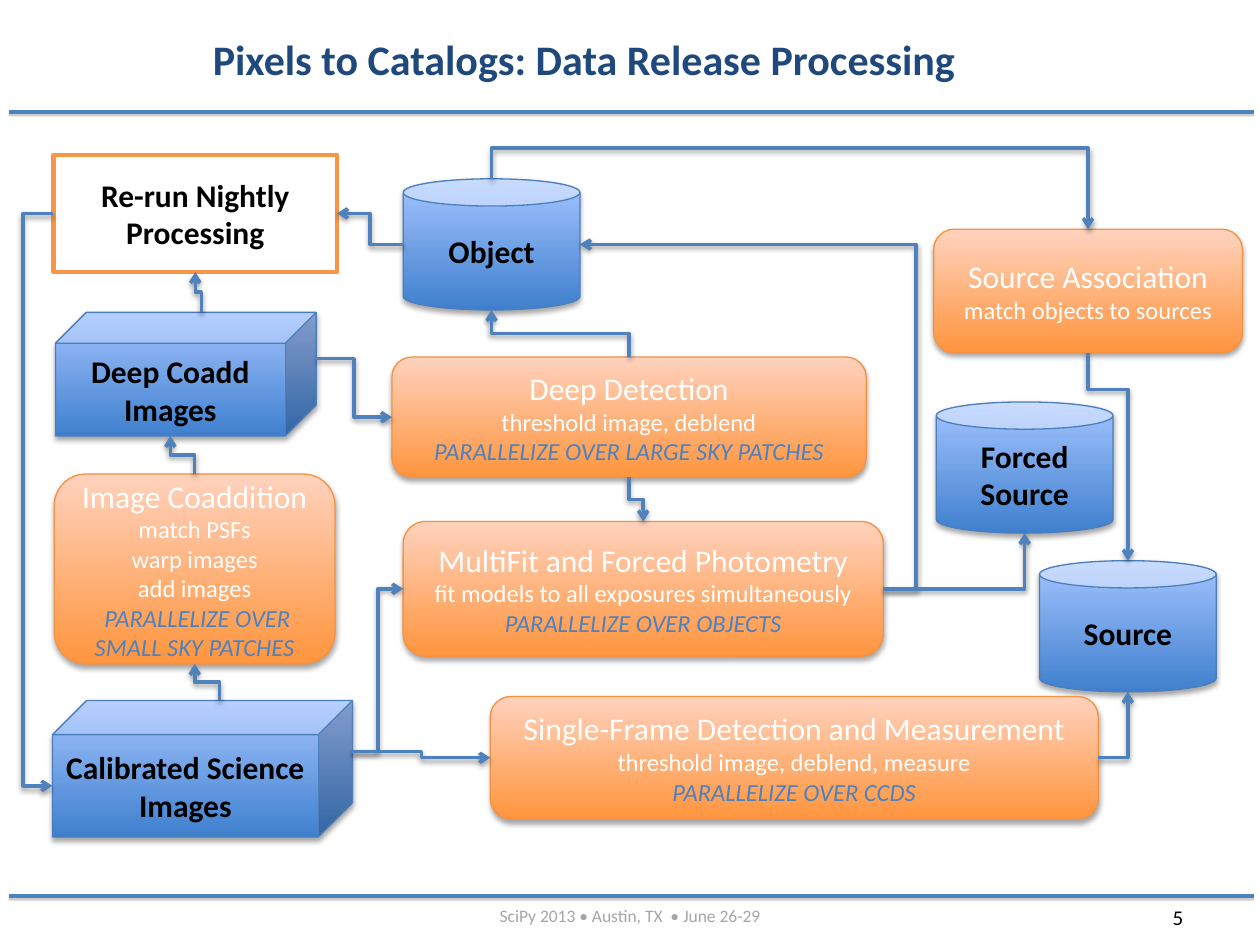
from lxml import etree
from pptx import Presentation
from pptx.dml.color import RGBColor
from pptx.enum.shapes import MSO_CONNECTOR, MSO_SHAPE
from pptx.enum.text import MSO_ANCHOR, PP_ALIGN
from pptx.oxml.ns import qn
from pptx.util import Pt

CUBE, CAN = MSO_SHAPE.CUBE, MSO_SHAPE.CAN
ROUNDED, RECTANGLE = MSO_SHAPE.ROUNDED_RECTANGLE, MSO_SHAPE.RECTANGLE
ELBOW, STRAIGHT = MSO_CONNECTOR.ELBOW, MSO_CONNECTOR.STRAIGHT
CENTER, LEFT, MIDDLE, TOP = PP_ALIGN.CENTER, PP_ALIGN.LEFT, MSO_ANCHOR.MIDDLE, MSO_ANCHOR.TOP

FONT = "Calibri"
BLUE, BLACK, WHITE = "4F81BD", "000000", "FFFFFF"
CAN_SIZE = (101, 75)
CAN_CAP = 0.208
CUBE_DEPTH = 0.25

LOOKS = {
    CUBE: (("3F80CE", "A4C4FF"), "4B7EBC", 0.75),
    CAN: (("3F80CE", "A4C4FF"), "4B7EBC", 0.75),
    ROUNDED: (("FF953E", "FFD2BD"), "F69240", 0.75),
    RECTANGLE: (None, "F79646", 2.5),
}

LABELS = [
    ((663, 513.5, 45, 21.5), "5", 12, BLACK, False, LEFT, TOP),
    ((36, 513.5, 648, 19.5), "SciPy 2013 • Austin, TX  • June 26-29", 10, "A6A6A6", False, CENTER, TOP),
    ((90, 11.5, 487.5, 44), "Pixels to Catalogs: Data Release Processing", 24, "1F497D", True, CENTER, MIDDLE),
]

STORES = {
    "rerun": (RECTANGLE, (30.6, 88.5, 162, 67), ["Re-run Nightly Processing"]),
    "object": (CAN, (230.4, 102.2, *CAN_SIZE), ["Object"]),
    "coadd": (CUBE, (31.7, 178.5, 149, 70.6), ["Deep Coadd", "Images"]),
    "calibrated": (CUBE, (30, 400.3, 171.4, 78), ["Calibrated Science Images"]),
    "forced": (CAN, (535, 229.7, *CAN_SIZE), ["Forced Source"]),
    "source": (CAN, (594, 320.4, *CAN_SIZE), ["Source"]),
}

STEPS = {
    "coaddition": ((31, 270.9, 160.5, 108.5), "Image Coaddition",
                   ["match PSFs", "warp images", "add images"], " PARALLELIZE OVER SMALL SKY PATCHES"),
    "detection": ((224, 204, 271, 68.8), "Deep Detection",
                  ["threshold image, deblend"], "PARALLELIZE OVER LARGE SKY PATCHES"),
    "multifit": ((230.4, 298, 274.4, 77), "MultiFit and Forced Photometry",
                 ["fit models to all exposures simultaneously"], "PARALLELIZE OVER OBJECTS"),
    "single": ((280.2, 398, 347.4, 70), "Single-Frame Detection and Measurement",
               ["threshold image, deblend, measure"], "PARALLELIZE OVER CCDS"),
    "association": ((533.5, 131, 176.5, 70.6), "Source Association",
                    ["match objects to sources"], None),
}

FLOWS = [
    ("coaddition", "top", "coadd", "bottom", None),
    ("rerun", "left", "calibrated", "left", 13),
    ("coadd", "top", "rerun", "bottom", None),
    ("coadd", "right", "detection", "left", None),
    ("detection", "top", "object", "bottom", None),
    ("object", "left", "rerun", "right", None),
    ("detection", "bottom", "multifit", "top", None),
    ("calibrated", "right", "multifit", "left", None),
    ("calibrated", "top", "coaddition", "bottom", None),
    ("multifit", "right", "object", "right", 523.5),
    ("multifit", "right", "forced", "bottom", None),
    ("calibrated", "right", "single", "left", None),
    ("single", "right", "source", "bottom", None),
    ("object", "top", "association", "top", 84.5),
    ("association", "bottom", "source", "top", 222.5),
]


def color(value):
    return RGBColor.from_string(value)


def points(values):
    return [Pt(round(value, 2)) for value in values]


def add_shadow(shape, opacity, distance, blur=3.1):
    properties = shape._element.spPr
    effects = etree.SubElement(properties, qn("a:effectLst"))
    shadow = etree.SubElement(effects, qn("a:outerShdw"), blurRad=str(Pt(blur)),
                              dist=str(Pt(distance)), dir="5400000", rotWithShape="0")
    tint = etree.SubElement(shadow, qn("a:srgbClr"), val="808080" if blur == 0 else BLACK)
    etree.SubElement(tint, qn("a:alpha"), val=str(opacity * 1000))


def write(shape, lines, align=CENTER, anchor=MIDDLE):
    frame = shape.text_frame
    frame.word_wrap = True
    frame.vertical_anchor = anchor
    for index, (text, size, tint, bold, italic) in enumerate(lines):
        paragraph = frame.add_paragraph() if index else frame.paragraphs[0]
        paragraph.alignment = align
        run = paragraph.add_run()
        run.text = text
        run.font.name, run.font.size = FONT, Pt(size)
        run.font.bold, run.font.italic = bold, italic
        run.font.color.rgb = color(tint)


def add_node(slide, kind, box, lines):
    shape = slide.shapes.add_shape(kind, *points(box))
    gradient, outline, width = LOOKS[kind]
    shape.line.color.rgb = color(outline)
    shape.line.width = Pt(width)
    if kind == CAN:
        shape.adjustments[0] = CAN_CAP
    if gradient:
        shape.fill.gradient()
        shape.fill.gradient_angle = 90
        for stop, tint, position in zip(shape.fill.gradient_stops, gradient, (0, 1)):
            stop.color.rgb = color(tint)
            stop.position = position
        add_shadow(shape, 35, 1.8)
    else:
        shape.fill.solid()
        shape.fill.fore_color.rgb = color(WHITE)
        shape.shadow.inherit = False
    write(shape, lines)


def side_point(kind, box, side):
    left, top, width, height = box
    depth = CUBE_DEPTH * min(width, height) if kind == CUBE else 0
    return {
        "top": (left + (width + depth) / 2, top),
        "bottom": (left + (width - depth) / 2, top + height),
        "left": (left, top + (height + depth) / 2),
        "right": (left + width, top + (height - depth) / 2),
    }[side]


def style_line(connector):
    connector.line.color.rgb = color(BLUE)
    connector.line.width = Pt(2)


def add_flow(slide, start, end, vertical, corner, via):
    (x1, y1), (x2, y2) = start, end
    ends = (x1, y1, x2, y2)
    if vertical:
        middle_x, middle_y = (x1 + x2) / 2, (y1 + y2) / 2
        half_x, half_y = (x2 - x1) / 2, (y2 - y1) / 2
        ends = (middle_x + half_y, middle_y - half_x, middle_x - half_y, middle_y + half_x)
    connector = slide.shapes.add_connector(ELBOW, *points(ends))
    properties = connector._element.spPr
    if vertical:
        properties.find(qn("a:xfrm")).set("rot", str(270 * 60000))
    geometry = properties.find(qn("a:prstGeom"))
    if corner:
        geometry.set("prst", "bentConnector2")
    elif via is not None:
        first, last = (y1, y2) if vertical else (x1, x2)
        ratio = round((via - first) / (last - first) * 100000)
        etree.SubElement(geometry.find(qn("a:avLst")), qn("a:gd"), name="adj1", fmla=f"val {ratio}")
    style_line(connector)
    etree.SubElement(properties.find(qn("a:ln")), qn("a:tailEnd"), type="arrow")
    add_shadow(connector, 38, 1.6)


def main():
    presentation = Presentation()
    presentation.slide_width, presentation.slide_height = Pt(720), Pt(540)
    slide = presentation.slides.add_slide(presentation.slide_layouts[6])
    for y in (64, 512):
        rule = slide.shapes.add_connector(STRAIGHT, *points((5, y, 716.5, y)))
        style_line(rule)
        add_shadow(rule, 38, 1.6, 0)
    for box, text, size, tint, bold, align, anchor in LABELS:
        label = slide.shapes.add_textbox(*points(box))
        write(label, [(text, size, tint, bold, False)], align, anchor)

    nodes = {}
    for name, (kind, box, texts) in STORES.items():
        nodes[name] = (kind, box)
        add_node(slide, kind, box, [(text, 18, BLACK, True, False) for text in texts])
    for name, (box, heading, details, note) in STEPS.items():
        nodes[name] = (ROUNDED, box)
        lines = [(heading, 18, WHITE, False, False)]
        lines += [(text, 14, WHITE, False, False) for text in details]
        if note:
            lines.append((note, 14, BLUE, False, True))
        add_node(slide, ROUNDED, box, lines)

    for source, source_side, target, target_side, via in FLOWS:
        vertical = source_side in ("top", "bottom")
        corner = vertical != (target_side in ("top", "bottom"))
        start = side_point(*nodes[source], source_side)
        end = side_point(*nodes[target], target_side)
        add_flow(slide, start, end, vertical, corner, via)
    presentation.save("out.pptx")


if __name__ == "__main__":
    main()
